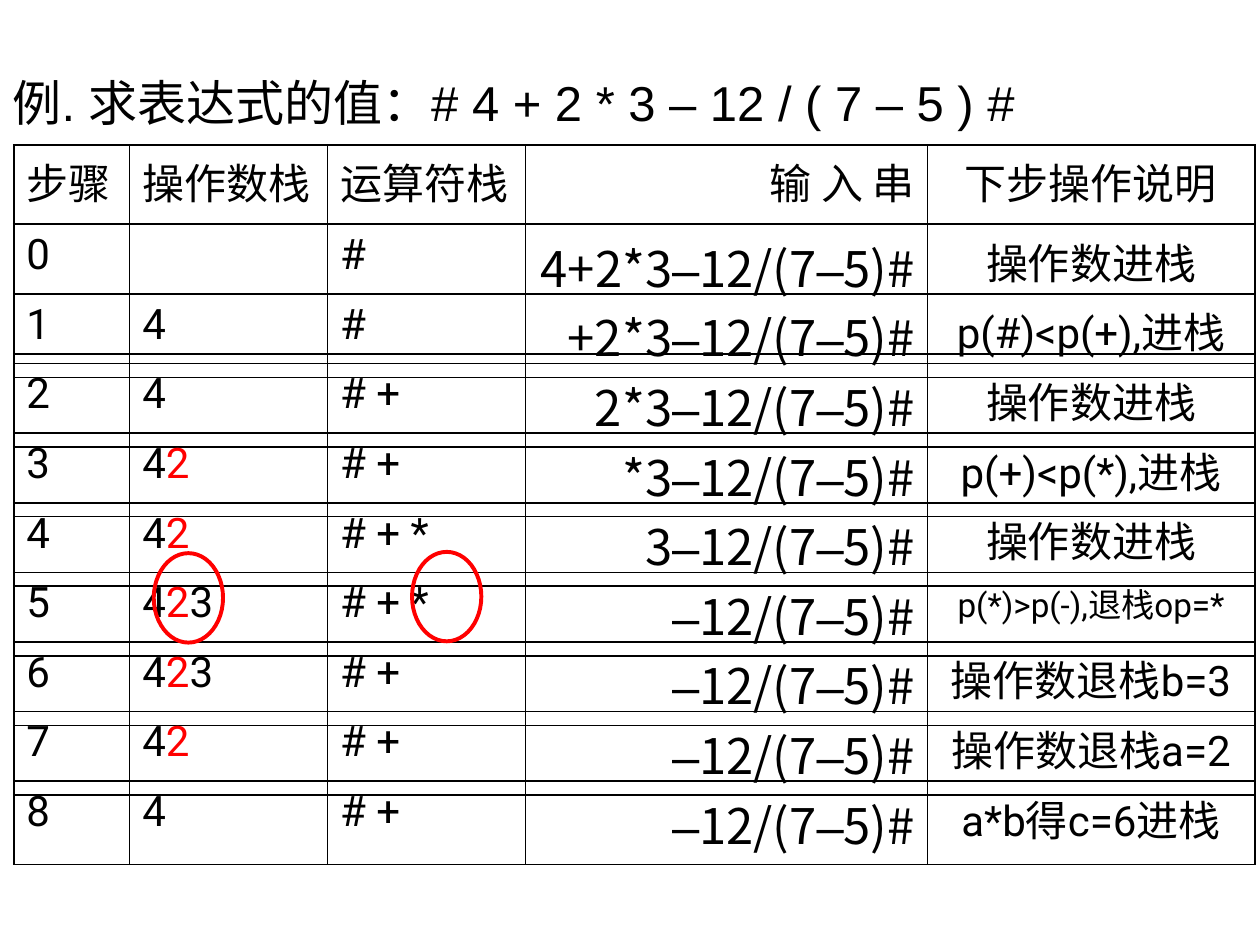
from itertools import groupby

from lxml.etree import SubElement
from pptx import Presentation
from pptx.dml.color import RGBColor
from pptx.enum.shapes import MSO_SHAPE as Shape
from pptx.enum.text import MSO_ANCHOR as Anchor, MSO_AUTO_SIZE as AutoSize, PP_ALIGN as Align
from pptx.oxml.ns import qn
from pptx.util import Inches, Pt

COLORS = {"ink": "000000", "accent": "FF0000"}
LATIN, CJK, DASH = "Roboto", "Noto Sans CJK SC", "Arial"

TITLE = "例. 求表达式的值：# 4 + 2 * 3 – 12 / ( 7 – 5 ) #"
HEADER = ("步骤", "操作数栈", "运算符栈", "输 入 串", "下步操作说明")
STEPS = [
    ("0", "", "#", "4+2*3–12/(7–5)#", "操作数进栈"),
    ("1", "4", "#", "+2*3–12/(7–5)#", "p(#)<p(+),进栈"),
    ("2", "4", "# +", "2*3–12/(7–5)#", "操作数进栈"),
    ("3", "42", "# +", "*3–12/(7–5)#", "p(+)<p(*),进栈"),
    ("4", "42", "# + *", "3–12/(7–5)#", "操作数进栈"),
    ("5", "423", "# + *", "–12/(7–5)#", "p(*)>p(-),退栈op=*"),
    ("6", "423", "# +", "–12/(7–5)#", "操作数退栈b=3"),
    ("7", "42", "# +", "–12/(7–5)#", "操作数退栈a=2"),
    ("8", "4", "# +", "–12/(7–5)#", "a*b得c=6进栈"),
]
COLUMN_WIDTHS = (0.92, 1.57, 1.57, 3.19, 2.6)
ALIGNMENTS = (Align.LEFT, Align.LEFT, Align.LEFT, Align.RIGHT, Align.CENTER)
OPERANDS, INPUT, NOTE = 1, 3, 4
LEFT, HEADER_TOP, HEADER_HEIGHT = 0.11, 1.15, 0.63
STEPS_TOP, STEP_PITCH, STEP_HEIGHT, FIRST_HEIGHT = 1.78, 0.5525, 0.57, 1.03
THIN, THICK = 0.45, 1.08
CIRCLES = [(3.27, 4.38), (1.22, 4.39)]
CIRCLE_SIZE = (0.55, 0.71)


def rgb(name):
    return RGBColor.from_string(COLORS[name])


def add_run(paragraph, text, size=24, name=LATIN, color="ink"):
    run = paragraph.add_run()
    run.text = text
    run.font.color.rgb = rgb(color)
    for key, value in {"size": Pt(size), "name": name, "bold": False}.items():
        setattr(run.font, key, value)
    SubElement(run.font._element, qn("a:ea"), typeface=CJK)


def set_borders(cell, widths):
    properties = cell._tc.get_or_add_tcPr()
    for index, (side, width) in enumerate(widths.items()):
        line = properties.makeelement(qn(f"a:{side}"), {"w": str(Pt(width))})
        fill = SubElement(line, qn("a:solidFill"))
        SubElement(fill, qn("a:srgbClr"), val=COLORS["ink"])
        properties.insert(index, line)


def fill_text(paragraph, text, column, is_header):
    if is_header:
        add_run(paragraph, text)
    elif column == OPERANDS:
        for operand in text:
            add_run(paragraph, operand, color="accent" if operand == "2" else "ink")
    elif column == INPUT:
        for is_dash, part in groupby(text, lambda symbol: symbol == "–"):
            add_run(paragraph, "".join(part), 28, DASH if is_dash else CJK)
    else:
        add_run(paragraph, text, 19 if column == NOTE and "op=" in text else 24)


def add_row(slide, texts, top, height, is_header=False):
    frame = slide.shapes.add_table(
        1, len(texts), Inches(LEFT), Inches(top), Inches(sum(COLUMN_WIDTHS)), Inches(height))
    table = frame.table
    for key in ("first_row", "horz_banding"):
        setattr(table, key, False)
    for column, (text, width, alignment) in enumerate(zip(texts, COLUMN_WIDTHS, ALIGNMENTS)):
        table.columns[column].width = Inches(width)
        cell = table.cell(0, column)
        cell.fill.background()
        set_borders(cell, {
            "lnL": THICK if column == 0 else THIN,
            "lnR": THICK if column == NOTE else THIN,
            "lnT": THICK,
            "lnB": THICK,
        })
        paragraph = cell.text_frame.paragraphs[0]
        paragraph.alignment = alignment
        fill_text(paragraph, text, column, is_header)


def add_title(slide):
    title = slide.shapes.title
    box = {"left": 0, "top": 0.52, "width": 9.8, "height": 0.57}
    for key, value in box.items():
        setattr(title, key, Inches(value))
    frame = title.text_frame
    settings = {"auto_size": AutoSize.NONE, "word_wrap": True, "vertical_anchor": Anchor.MIDDLE}
    for key, value in settings.items():
        setattr(frame, key, value)
    frame.paragraphs[0].alignment = Align.LEFT
    add_run(frame.paragraphs[0], TITLE, 28, "Arial")


def add_circle(slide, left, top):
    circle = slide.shapes.add_shape(
        Shape.OVAL, *(Inches(value) for value in (left, top, *CIRCLE_SIZE)))
    circle.shadow.inherit = False
    circle.fill.background()
    circle.line.color.rgb = rgb("accent")
    circle.line.width = Pt(2.25)


def main():
    """Build the slide that traces an expression through two stacks."""
    deck = Presentation()
    deck.slide_width, deck.slide_height = Inches(10), Inches(7.5)
    slide = deck.slides.add_slide(deck.slide_layouts[5])
    add_title(slide)
    add_row(slide, HEADER, HEADER_TOP, HEADER_HEIGHT, is_header=True)
    for index, step in enumerate(STEPS):
        height = STEP_HEIGHT if index else FIRST_HEIGHT
        add_row(slide, step, STEPS_TOP + index * STEP_PITCH, height)
    for left, top in CIRCLES:
        add_circle(slide, left, top)
    deck.save("out.pptx")


if __name__ == "__main__":
    main()
